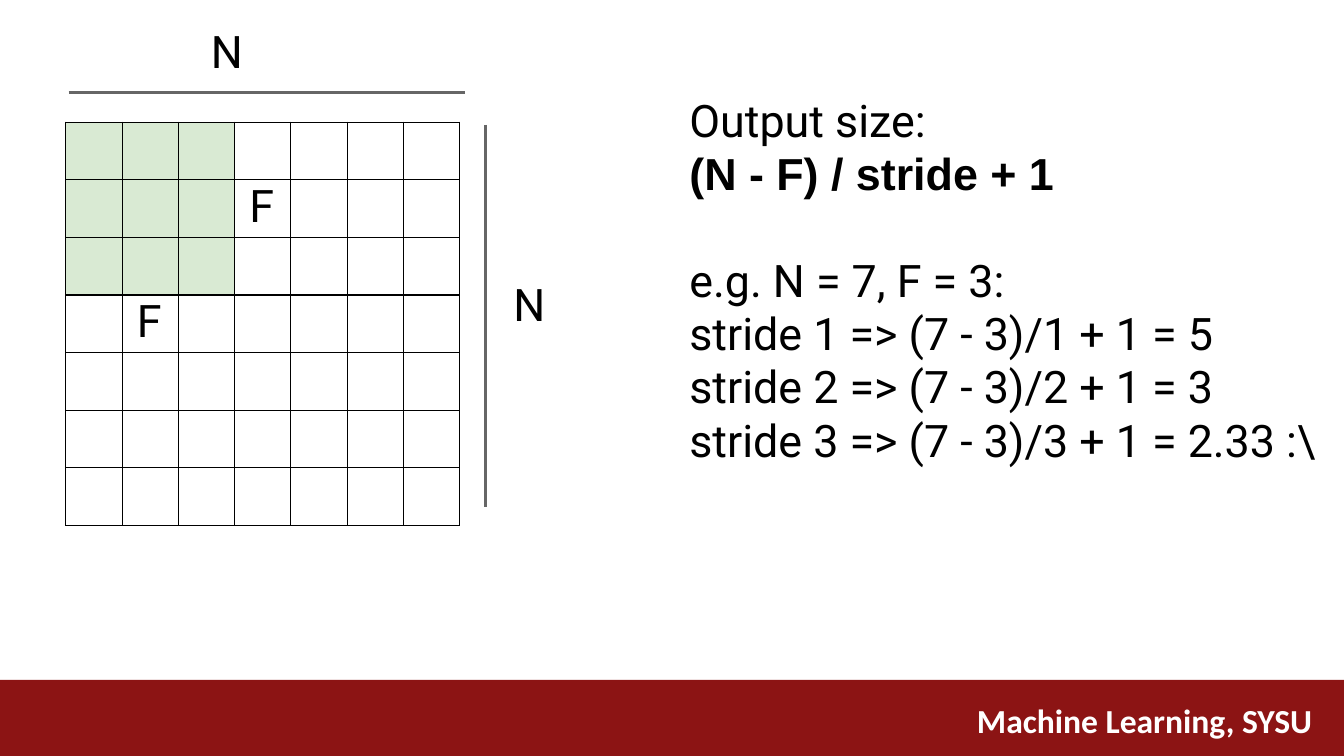
from lxml import etree
from pptx import Presentation
from pptx import util as u
from pptx.dml.color import RGBColor
from pptx.enum import shapes, text
from pptx.oxml import ns

GRID_SIZE = 7
FILTER_SIZE = 3


def color(value):
    return RGBColor.from_string(value)


class SlideBuilder:
    font = "Roboto"
    size = 24
    black = "000000"
    white = "FFFFFF"
    gray = "666666"
    red = "8C1414"
    green = "D9EAD3"

    def __init__(self, slide):
        self.slide = slide

    def style(self, paragraph, name=None, size=None, fill=None, bold=False):
        font = paragraph.font
        font.name = name or self.font
        font.size = u.Pt(size or self.size)
        font.bold = bold
        font.color.rgb = color(fill or self.black)

    def bar(self, left, top, width, height):
        shape = self.slide.shapes.add_shape(
            shapes.MSO_SHAPE.RECTANGLE,
            u.Inches(left), u.Inches(top), u.Inches(width), u.Inches(height))
        shape.shadow.inherit = False
        shape.fill.solid()
        shape.fill.fore_color.rgb = color(self.red)
        shape.line.fill.background()

    def line(self, left, top, right, bottom):
        connector = self.slide.shapes.add_connector(
            shapes.MSO_CONNECTOR.STRAIGHT,
            u.Inches(left), u.Inches(top), u.Inches(right), u.Inches(bottom))
        connector.line.color.rgb = color(self.gray)
        connector.line.width = u.Pt(1.5)
        etree.SubElement(connector._element.spPr, ns.qn("a:effectLst"))

    def label(self, left, top, width, height, lines, spacing=None,
              margins=(0.01, 0.01, 0, 0), bold_line=None, **style):
        shape = self.slide.shapes.add_textbox(
            u.Inches(left), u.Inches(top), u.Inches(width), u.Inches(height))
        frame = shape.text_frame
        frame.word_wrap = False
        frame.auto_size = text.MSO_AUTO_SIZE.NONE
        (frame.margin_left, frame.margin_top,
         frame.margin_right, frame.margin_bottom) = map(u.Inches, margins)
        frame.text = "\n".join(lines)
        for index, paragraph in enumerate(frame.paragraphs):
            if spacing:
                paragraph.line_spacing = u.Pt(spacing)
            if index == bold_line:
                self.style(paragraph, name="Arial", bold=True)
            else:
                self.style(paragraph, **style)

    def border(self, cell):
        properties = cell._tc.get_or_add_tcPr()
        for side in ("lnL", "lnR", "lnT", "lnB"):
            edge = etree.SubElement(
                properties, ns.qn(f"a:{side}"), w=str(u.Pt(0.75)))
            fill = etree.SubElement(edge, ns.qn("a:solidFill"))
            etree.SubElement(fill, ns.qn("a:srgbClr"), val=self.black)

    def grid(self, left, top, width, height, labels):
        table = self.slide.shapes.add_table(
            GRID_SIZE, GRID_SIZE, u.Inches(left), u.Inches(top),
            u.Inches(width), u.Inches(height)).table
        table.first_row = False
        table.horz_banding = False
        for row in range(GRID_SIZE):
            for column in range(GRID_SIZE):
                cell = table.cell(row, column)
                self.border(cell)
                if max(row, column) < FILTER_SIZE:
                    cell.fill.solid()
                    cell.fill.fore_color.rgb = color(self.green)
                else:
                    cell.fill.background()
                if (row, column) in labels:
                    cell.margin_left = u.Inches(0.11)
                    cell.margin_top = u.Inches(0.01)
                    cell.margin_right = cell.margin_bottom = 0
                    cell.text = labels[row, column]
                    self.style(cell.text_frame.paragraphs[0])


def main():
    presentation = Presentation()
    presentation.slide_width = u.Inches(10)
    presentation.slide_height = presentation.slide_width * 9 // 16
    builder = SlideBuilder(
        presentation.slides.add_slide(presentation.slide_layouts[6]))

    builder.bar(0, 5.06, 10, 0.57)
    builder.label(7.17, 5.16, 2.75, 0.4, ["Machine Learning, SYSU"],
                  margins=(0.1, 0.05, 0.1, 0.05), name="Calibri", size=18,
                  fill=builder.white, bold=True)

    builder.grid(0.49, 0.91, 2.93, 3, {(1, 3): "F", (3, 1): "F"})
    builder.line(0.51, 0.69, 3.46, 0.69)
    builder.line(3.61, 0.93, 3.61, 3.77)
    for left, top in ((1.56, 0.17), (3.81, 2.05)):
        builder.label(left, top, 0.27, 0.43, ["N"])

    builder.label(5.12, 0.68, 2.74, 0.82,
                  ["Output size:", "(N - F) / stride + 1"],
                  spacing=28.6, bold_line=1)
    results = {1: "5", 2: "3", 3: "2.33 :\\"}
    examples = [f"stride {stride} => (7 - 3)/{stride} + 1 = {result}"
                for stride, result in results.items()]
    builder.label(5.12, 1.87, 4.73, 1.62,
                  ["e.g. N = 7, F = 3:", *examples], spacing=28.6)

    presentation.save("out.pptx")


if __name__ == "__main__":
    main()
